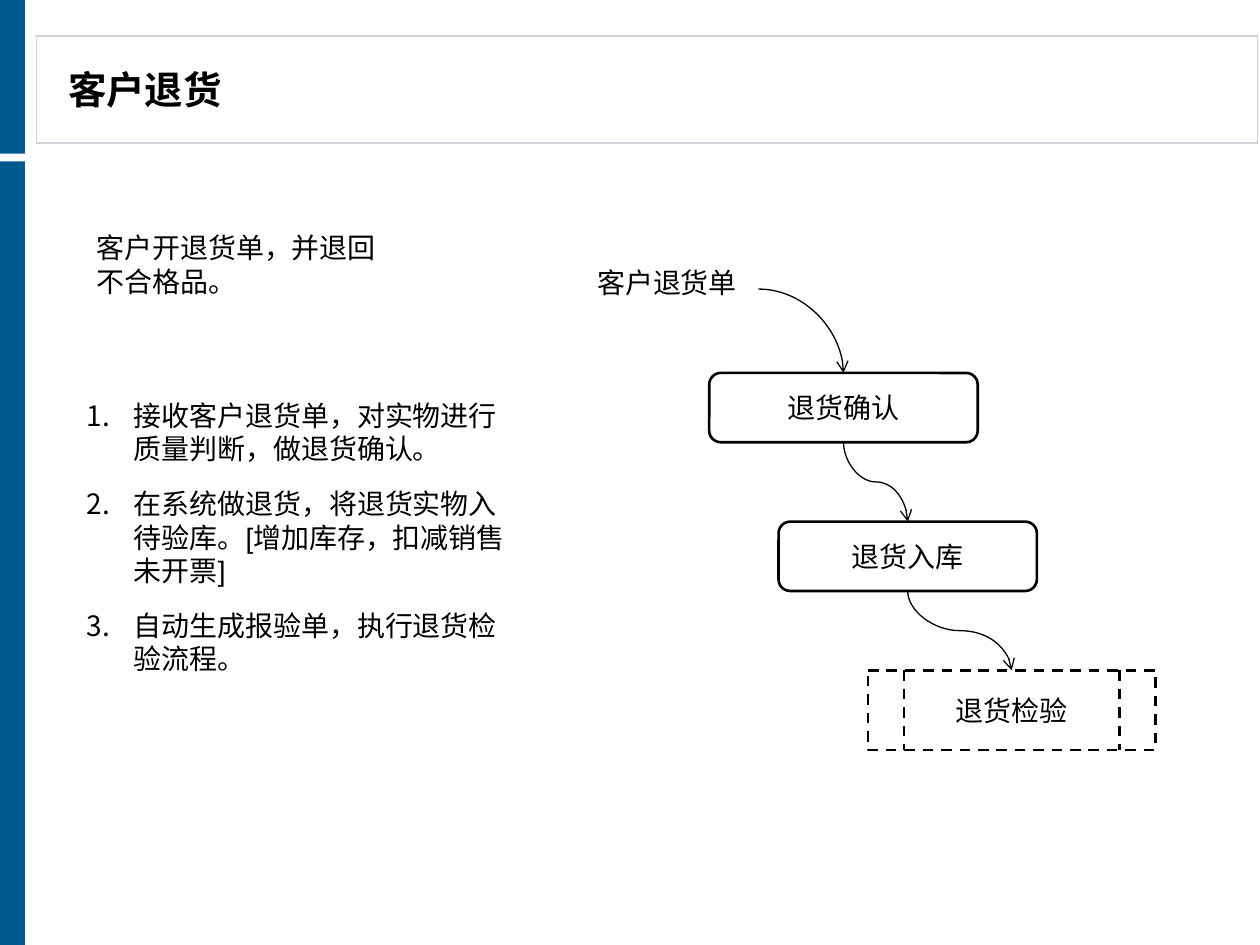
import pptx
import pptx.util
import pptx.dml.color
import pptx.enum.dml
import pptx.enum.shapes
import pptx.enum.text
import pptx.oxml
from dataclasses import dataclass
from lxml import etree

Pt = pptx.util.Pt
Kind = pptx.enum.shapes.MSO_SHAPE
Align = pptx.enum.text.PP_ALIGN
Anchor = pptx.enum.text.MSO_ANCHOR
Fit = pptx.enum.text.MSO_AUTO_SIZE
qn = pptx.oxml.ns.qn


@dataclass(frozen=True)
class Theme:
    """Colours, font and type sizes of the slide."""
    font: str = "Arial"
    ink: str = "000000"
    paper: str = "FFFFFF"
    blue: str = "005A92"
    rule: str = "D0D3DA"
    head: float = 22
    body: float = 16
    thin: float = 0.75
    thick: float = 1.5


theme = Theme()


def color(code):
    """Turn a hex code into a colour."""
    return pptx.dml.color.RGBColor.from_string(code)


def add_run(para, text, size, bold=False):
    """Add one run of text in the theme font."""
    run = para.add_run()
    run.text = text
    run.font.name = theme.font
    run.font.size = Pt(size)
    run.font.bold = bold
    run.font.color.rgb = color(theme.ink)


def set_frame(frame, anchor=Anchor.MIDDLE, pad=0):
    """Set wrapping, anchor and margins of a text frame."""
    frame.word_wrap = True
    frame.auto_size = Fit.NONE
    frame.vertical_anchor = anchor
    frame.margin_left = frame.margin_right = Pt(7.2)
    frame.margin_top = frame.margin_bottom = Pt(pad)


def add_box(slide, kind, box, fill, line=None, width=theme.thin):
    """Add a flat preset shape in the given box."""
    shape = slide.shapes.add_shape(kind, *map(Pt, box))
    shape.shadow.inherit = False
    shape.fill.solid()
    shape.fill.fore_color.rgb = color(fill)
    if line:
        shape.line.color.rgb = color(line)
        shape.line.width = Pt(width)
    else:
        shape.line.fill.background()
    return shape


def add_frame(slide, text):
    """Place the side bars, the header panel and the title."""
    add_box(slide, Kind.RECTANGLE, (20.9, 20.5, 697.7, 61.2), theme.paper, theme.rule)
    for top, high in ((0, 87.8), (92.2, 447.8)):
        add_box(slide, Kind.RECTANGLE, (0, top, 14.2, high), theme.blue)
    title = slide.shapes.title
    title.left, title.top, title.width, title.height = map(Pt, (31.7, 22.3, 453.6, 56.9))
    slide.shapes.element.append(title.element)
    set_frame(title.text_frame)
    para = title.text_frame.paragraphs[0]
    para.alignment = Align.LEFT
    add_run(para, text, theme.head, True)


def add_note(slide, box, text):
    """Place the opening statement."""
    frame = slide.shapes.add_textbox(*map(Pt, box)).text_frame
    set_frame(frame, Anchor.TOP, 3.6)
    para = frame.paragraphs[0]
    para.space_before = para.space_after = Pt(6)
    add_run(para, text, theme.body)


def add_steps(slide, box, steps):
    """Place the numbered steps."""
    frame = add_box(slide, Kind.FLOWCHART_DOCUMENT, box, theme.paper).text_frame
    set_frame(frame)
    for spot, text in enumerate(steps):
        para = frame.add_paragraph() if spot else frame.paragraphs[0]
        para.alignment = Align.LEFT
        para.space_before = para.space_after = Pt(6)
        add_run(para, text, theme.body)
        props = para._p.get_or_add_pPr()
        props.set("marL", str(Pt(27)))
        props.set("indent", str(-Pt(27)))
        etree.SubElement(props, qn("a:buFont"), typeface=theme.font)
        etree.SubElement(props, qn("a:buAutoNum"), type="arabicPeriod")


def add_curve(slide, start, end, bend):
    """Join two points with a curved arrow; bend 2 leaves sideways, 3 downwards."""
    (x1, y1), (x2, y2) = start, end
    if bend == 3:
        midx, midy = (x1 + x2) / 2, (y1 + y2) / 2
        wide, high = y2 - y1, x2 - x1
        x1, x2 = midx + wide / 2, midx - wide / 2
        y1, y2 = midy - high / 2, midy + high / 2
    link = slide.shapes.add_connector(
        pptx.enum.shapes.MSO_CONNECTOR.CURVE, *map(Pt, (x1, y1, x2, y2)))
    link.line.color.rgb = color(theme.ink)
    link.line.width = Pt(theme.thin)
    props = link.element.spPr
    if bend == 3:
        props.find(qn("a:xfrm")).set("rot", str(270 * 60000))
    props.find(qn("a:prstGeom")).set("prst", f"curvedConnector{bend}")
    etree.SubElement(props.find(qn("a:ln")), qn("a:tailEnd"), type="arrow")
    etree.SubElement(props, qn("a:effectLst"))


def add_flow(slide, left, top):
    """Place the return process, from the slip down to the check."""
    nodes = (
        ("客户退货单", Kind.FLOWCHART_DOCUMENT, (0, 0, 104.4, 39.6), None),
        ("退货确认", Kind.ROUNDED_RECTANGLE, (76.3, 67.7, 153.4, 39.6), theme.ink),
        ("退货入库", Kind.ROUNDED_RECTANGLE, (115.9, 152.7, 147.6, 39.6), theme.ink),
        ("退货检验", Kind.FLOWCHART_PREDEFINED_PROCESS, (167, 237.7, 164.2, 45.4), theme.ink),
    )
    last = None
    for text, kind, (x, y, wide, high), line in nodes:
        x, y = left + x, top + y
        shape = add_box(slide, kind, (x, y, wide, high), theme.paper, line, theme.thick)
        if kind == Kind.FLOWCHART_PREDEFINED_PROCESS:
            shape.line.dash_style = pptx.enum.dml.MSO_LINE.DASH
        set_frame(shape.text_frame)
        para = shape.text_frame.paragraphs[0]
        para.alignment = Align.CENTER
        add_run(para, text, theme.body)
        mid = x + wide / 2
        if last:
            add_curve(slide, last[0], (mid, y), last[1])
            last = (mid, y + high), 3
        else:
            last = (x + wide, y + high / 2), 2


def build():
    """Build the slide and save it."""
    deck = pptx.Presentation()
    deck.slide_width, deck.slide_height = Pt(720), Pt(540)
    slide = deck.slides.add_slide(deck.slide_layouts[5])
    add_frame(slide, "客户退货")
    add_flow(slide, 329, 145.4)
    add_steps(slide, (42.5, 202.3, 254.9, 260.6), (
        "接收客户退货单，对实物进行质量判断，做退货确认。",
        "在系统做退货，将退货实物入待验库。[增加库存，扣减销售未开票]",
        "自动生成报验单，执行退货检验流程。",
    ))
    add_note(slide, (48.2, 128.2, 180, 46.1), "客户开退货单，并退回不合格品。")
    deck.save("out.pptx")


build()
